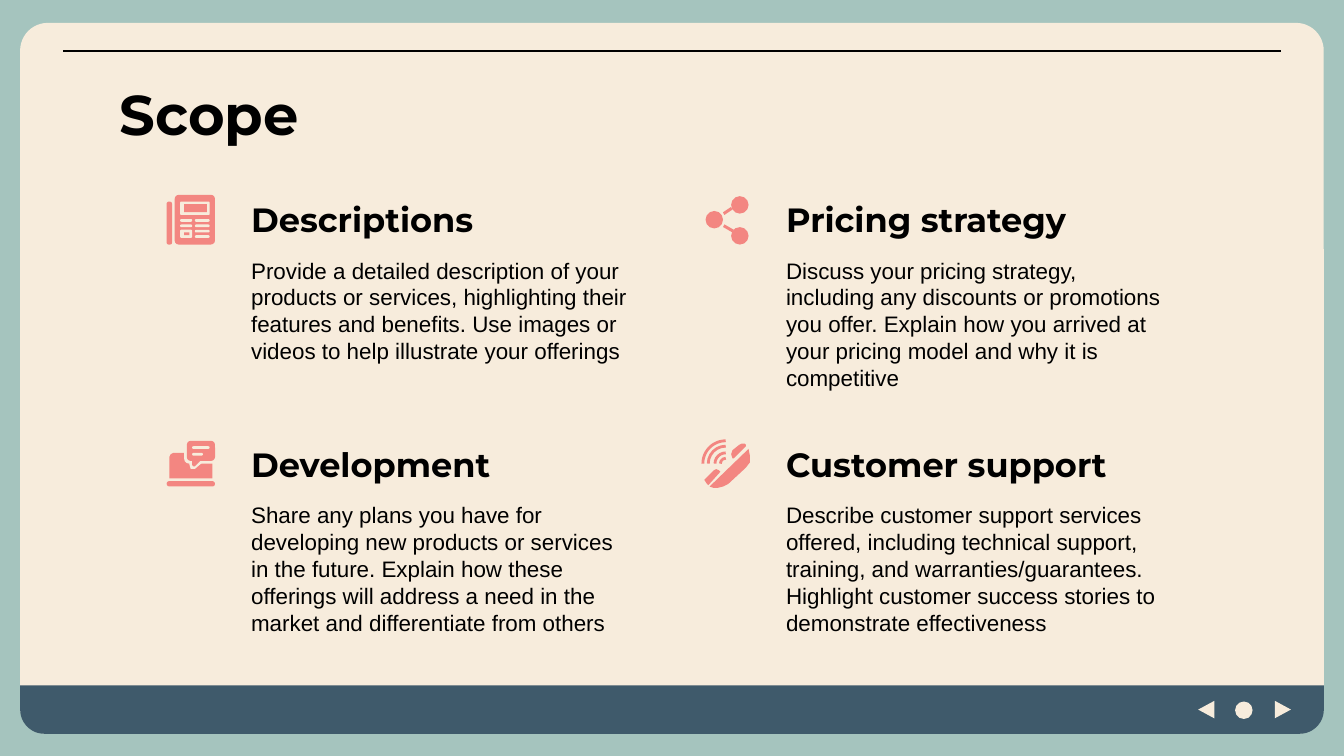
"""Build the Scope slide: four topics with icons on a framed panel."""
from typing import NamedTuple, Optional

from pptx import Presentation
from pptx.dml.color import RGBColor
from pptx.enum.shapes import MSO_CONNECTOR, MSO_SHAPE
from pptx.enum.text import MSO_ANCHOR, MSO_AUTO_SIZE, PP_ALIGN
from pptx.oxml.ns import qn
from pptx.util import Inches, Pt

CELL = Inches(0.01)
COLUMNS, ROWS = 1000, 562.5
TOPIC_COLUMN_STEP, TOPIC_ROW_STEP = 398, 182
ICON_COLUMN, ICON_ROW = 124, 145
TOPIC_COLUMN, HEADING_ROW, DETAIL_ROW = 177, 138, 181

SAGE = RGBColor(0xA5, 0xC4, 0xBE)
CREAM = RGBColor(0xF7, 0xEC, 0xDC)
SLATE = RGBColor(0x3F, 0x5A, 0x6B)
CORAL = RGBColor(0xF3, 0x86, 0x81)
BLACK = RGBColor(0, 0, 0)

RECT, ROUND, OVAL = MSO_SHAPE.RECTANGLE, MSO_SHAPE.ROUNDED_RECTANGLE, MSO_SHAPE.OVAL


class Box(NamedTuple):
    """A place on the grid, in cells."""
    column: float
    row: float
    width: float
    height: float


class Part(NamedTuple):
    """A preset shape in an icon or in the frame."""
    preset: MSO_SHAPE
    box: Box
    color: RGBColor = CORAL
    rounding: Optional[float] = None
    rotation: float = 0


class Outline(NamedTuple):
    """A free outline in an icon."""
    points: tuple
    color: RGBColor = CORAL


class Wave(NamedTuple):
    """A quarter ring around a centre point."""
    column: float
    row: float
    radius: float


class Topic(NamedTuple):
    """A heading with its detail and icon."""
    heading: str
    detail: str
    icon: tuple


NEWSPAPER = (
    Part(ROUND, Box(0, 5, 4, 32), rounding=0.4),
    Part(ROUND, Box(6, 0, 30, 37), rounding=0.1),
    Part(ROUND, Box(10, 5, 22, 10), CREAM, 0.1),
    Part(RECT, Box(13, 7, 17, 6)),
    *(Part(ROUND, Box(10, row, 9, 2), CREAM, 0.5) for row in (18, 22)),
    *(Part(ROUND, Box(21, row, 11, 2), CREAM, 0.5) for row in (18, 22, 26, 30)),
    Part(ROUND, Box(10, 26, 9, 6), CREAM, 0.15),
    Part(RECT, Box(13, 28, 4, 2)),
)
SHARE = (
    *(Part(OVAL, Box(column, row, 13, 13)) for column, row in ((3, 12), (22, 1), (22, 24))),
    Outline(((16, 13), (17, 15), (23, 11), (22, 9))),
    Outline(((16, 24), (17, 22), (24, 26), (23, 28))),
)
LAPTOP = (
    Part(ROUND, Box(0, 31, 36, 4), rounding=0.5),
    Outline(((2, 13), (3, 11), (5, 10), (34, 10), (34, 29), (2, 29))),
    Part(ROUND, Box(13, -1, 25, 19), CREAM, 0.2),
    Outline(((17, 16), (17, 19), (18, 22), (21, 22), (28, 16)), CREAM),
    Part(ROUND, Box(15, 1, 21, 15), rounding=0.2),
    Outline(((19, 15), (19, 19), (20, 20), (21, 20), (25, 16))),
    Part(ROUND, Box(19, 5, 13, 2), CREAM, 0.5),
    Part(ROUND, Box(19, 10, 8, 2), CREAM, 0.5),
)
PHONE = (
    Outline(((30, 3), (28, 4), (23, 8), (22, 11), (23, 14), (24, 14), (33, 5), (33, 4), (32, 3))),
    Outline(((35, 7), (6, 35), (9, 36), (12, 36), (16, 35), (20, 33),
             (33, 21), (36, 17), (36, 12))),
    Outline(((11, 22), (9, 23), (4, 28), (2, 30), (4, 33), (5, 34), (14, 24), (13, 23))),
    *(Wave(18, 18, radius) for radius in (17, 13, 8, 4)),
)
FRAME = (
    Part(ROUND, Box(15, 17, 970, 529), CREAM, 0.039),
    Part(MSO_SHAPE.ROUND_2_SAME_RECTANGLE, Box(15, 510, 970, 36), SLATE, 0.5, 180),
    Part(OVAL, Box(919, 522, 13, 13), CREAM),
    Part(MSO_SHAPE.ISOSCELES_TRIANGLE, Box(948, 522, 13, 12), CREAM, rotation=90),
    Part(MSO_SHAPE.ISOSCELES_TRIANGLE, Box(891, 522, 13, 12), CREAM, rotation=270),
)
TOPICS = (
    Topic("Descriptions", "Provide a detailed description of your products or services, "
          "highlighting their features and benefits. Use images or videos to help "
          "illustrate your offerings", NEWSPAPER),
    Topic("Pricing strategy", "Discuss your pricing strategy, including any discounts or "
          "promotions you offer. Explain how you arrived at your pricing model and why it "
          "is competitive", SHARE),
    Topic("Development", "Share any plans you have for developing new products or services "
          "in the future. Explain how these offerings will address a need in the market "
          "and differentiate from others", LAPTOP),
    Topic("Customer support", "Describe customer support services offered, including "
          "technical support, training, and warranties/guarantees. Highlight customer "
          "success stories to demonstrate effectiveness", PHONE),
)


def cells(*counts: float) -> list[int]:
    """Turn counts of cells into lengths."""
    return [round(count * CELL) for count in counts]


def paint(shape, color: RGBColor) -> None:
    """Fill a shape plainly."""
    shape.shadow.inherit = False
    shape.fill.solid()
    shape.fill.fore_color.rgb = color
    shape.line.fill.background()


def draw_part(shapes, part: Part, column: float = 0, row: float = 0) -> None:
    """Draw a preset shape, moved by a column and row."""
    box = part.box
    shape = shapes.add_shape(
        part.preset, *cells(box.column + column, box.row + row, box.width, box.height))
    if part.rounding is not None:
        shape.adjustments[0] = part.rounding
    shape.rotation = part.rotation
    paint(shape, part.color)


def draw_outline(shapes, outline: Outline, column: float, row: float) -> None:
    """Draw a closed outline, moved by a column and row."""
    start, *others = [(x + column, y + row) for x, y in outline.points]
    builder = shapes.build_freeform(*start, scale=CELL)
    builder.add_line_segments(others, close=True)
    paint(builder.convert_to_shape(), outline.color)


def draw_wave(shapes, wave: Wave, column: float, row: float) -> None:
    """Draw the upper left quarter of a ring."""
    arc = shapes.add_shape(MSO_SHAPE.ARC, *cells(
        wave.column + column - wave.radius, wave.row + row - wave.radius,
        2 * wave.radius, 2 * wave.radius))
    arc.adjustments[0], arc.adjustments[1] = 108, 162
    arc.shadow.inherit = False
    arc.fill.background()
    arc.line.color.rgb = CORAL
    arc.line.width = Pt(1.5)


def draw_icon(shapes, icon: tuple, column: float, row: float) -> None:
    """Draw the parts of an icon as one group."""
    painters = {Part: draw_part, Outline: draw_outline, Wave: draw_wave}
    group = shapes.add_group_shape()
    for part in icon:
        painters[type(part)](group.shapes, part, column, row)


def write(holder, text: str, *, box: Box, size: float, font: str = "Arial",
          bold: bool = False, anchor: MSO_ANCHOR = MSO_ANCHOR.TOP) -> None:
    """Place a text holder and write formatted text in it."""
    holder.left, holder.top, holder.width, holder.height = cells(*box)
    frame = holder.text_frame
    frame.word_wrap = True
    frame.auto_size = MSO_AUTO_SIZE.NONE
    frame.vertical_anchor = anchor
    frame.margin_left = frame.margin_right = frame.margin_top = frame.margin_bottom = Inches(0.1)
    paragraph = frame.paragraphs[0]
    paragraph.alignment = PP_ALIGN.LEFT
    run = paragraph.add_run()
    run.text = text
    run.font.name, run.font.size, run.font.bold = font, Pt(size), bold
    run.font.color.rgb = BLACK


def draw_topic(shapes, topic: Topic, column: int, row: int) -> None:
    """Draw a topic in its place among the columns and rows."""
    across, down = column * TOPIC_COLUMN_STEP, row * TOPIC_ROW_STEP
    left = TOPIC_COLUMN + across
    write(shapes.add_textbox(0, 0, 0, 0), topic.heading, size=18, font="Montserrat", bold=True,
          box=Box(left, HEADING_ROW + down, 301, 50), anchor=MSO_ANCHOR.BOTTOM)
    write(shapes.add_textbox(0, 0, 0, 0), topic.detail, size=12,
          box=Box(left, DETAIL_ROW + down, 301, 119))
    draw_icon(shapes, topic.icon, ICON_COLUMN + across, ICON_ROW + down)


def main() -> None:
    """Build and save the slide."""
    deck = Presentation()
    deck.slide_width, deck.slide_height = cells(COLUMNS, ROWS)
    slide = deck.slides.add_slide(deck.slide_layouts.get_by_name("Title Only"))
    slide.background.fill.solid()
    slide.background.fill.fore_color.rgb = SAGE
    shapes = slide.shapes
    title = shapes.title
    for part in FRAME:
        draw_part(shapes, part)
    rule = shapes.add_connector(MSO_CONNECTOR.STRAIGHT, *cells(47, 38, 953, 38))
    rule.line.color.rgb = BLACK
    rule.line.width = Pt(1.5)
    properties = rule.element.spPr
    properties.append(properties.makeelement(qn("a:effectLst"), {}))
    title.element.getparent().append(title.element)
    write(title, "Scope", box=Box(79, 49, 843, 63), size=30, font="Montserrat", bold=True)
    for index, topic in enumerate(TOPICS):
        row, column = divmod(index, 2)
        draw_topic(shapes, topic, column, row)
    deck.save("out.pptx")


if __name__ == "__main__":
    main()
